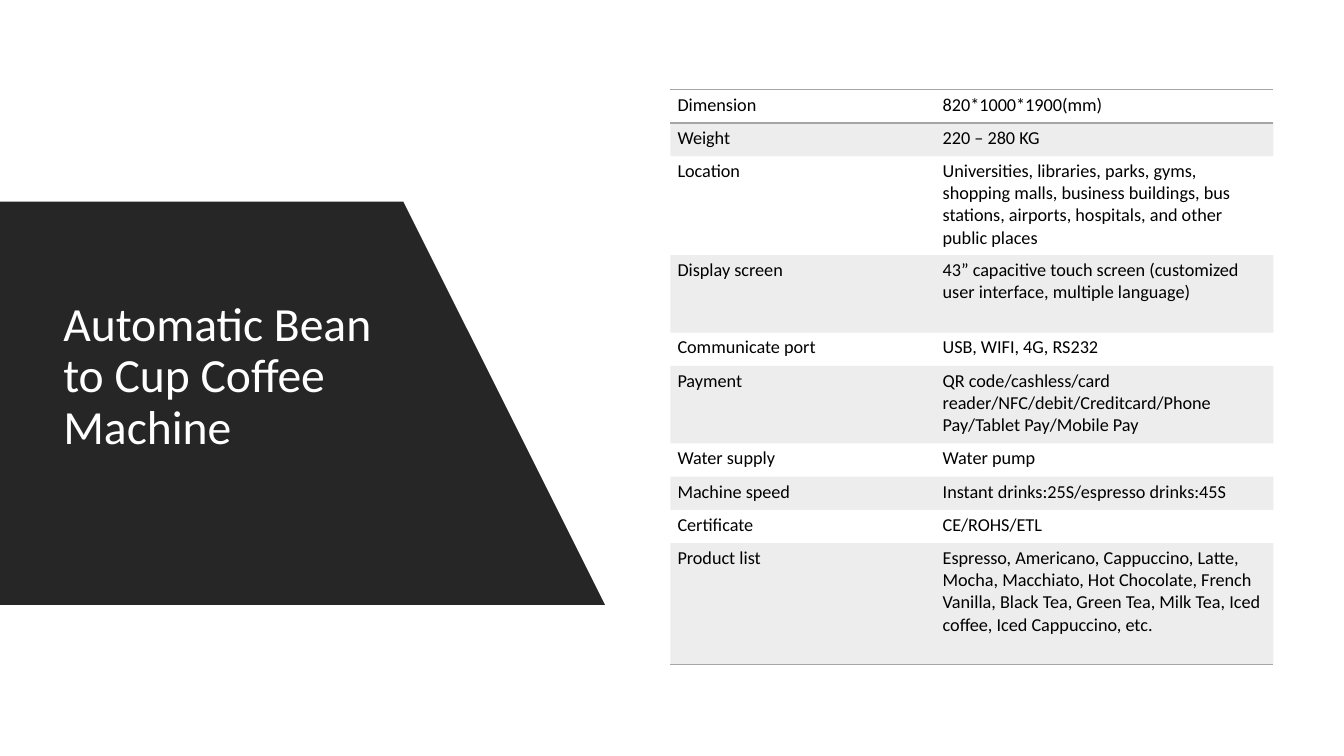
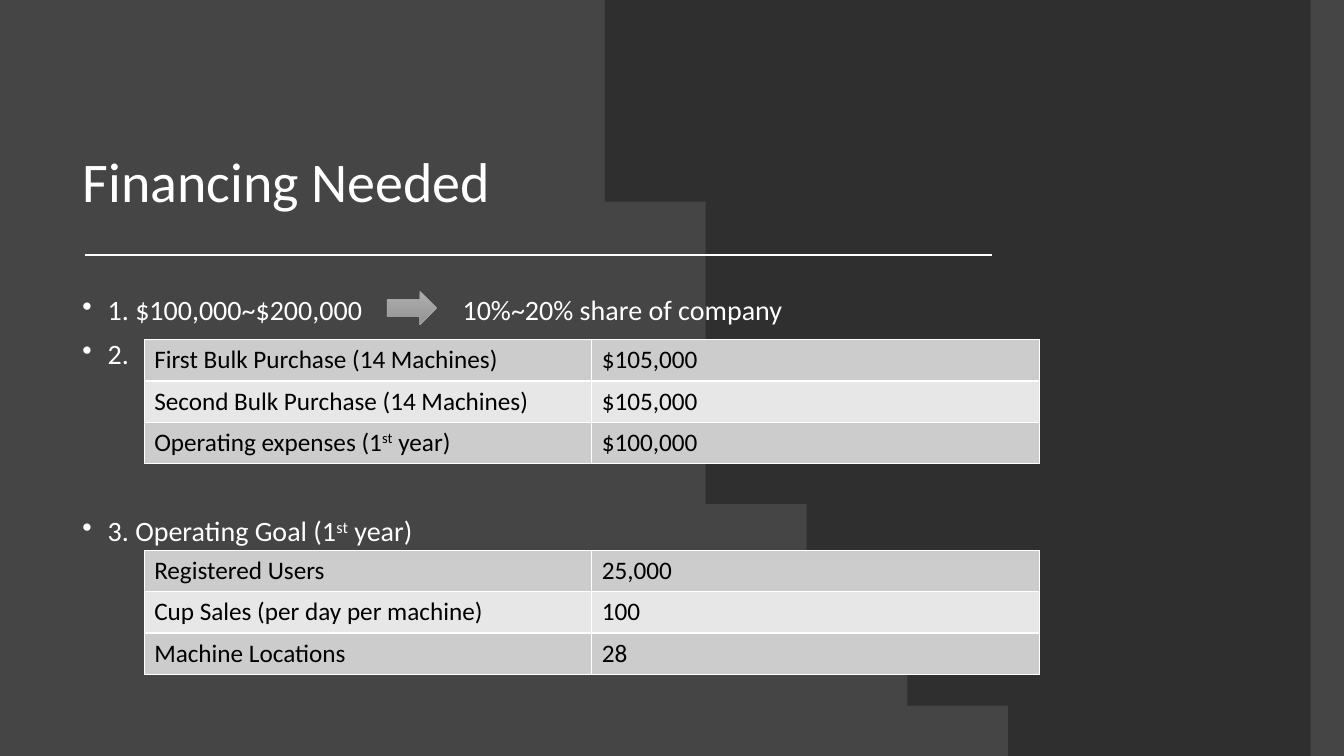
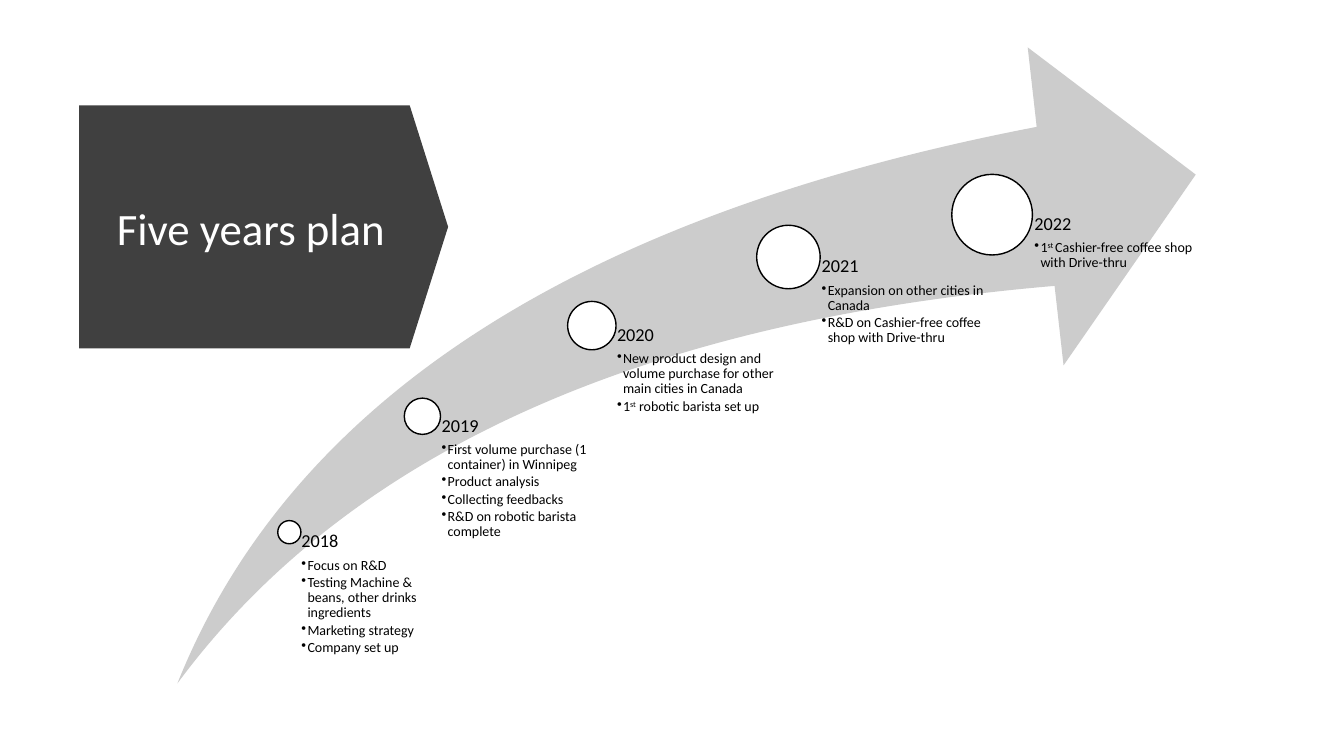
from lxml.etree import SubElement
from pptx import Presentation
from pptx.dml.color import RGBColor
from pptx.enum.shapes import MSO_CONNECTOR as Conn, MSO_SHAPE as Kind
from pptx.enum.text import MSO_ANCHOR as Anchor
from pptx.oxml import parse_xml
from pptx.oxml.ns import nsdecls, qn
from pptx.util import Inches, Pt

FONT = "Calibri"
HEX = {
    "white": "FFFFFF", "black": "000000", "ink": "262626", "slate": "454545",
    "tag": "404040", "grey": "A5A5A5", "odd": "CCCCCC", "even": "E7E7E7",
    "light": "AFAFAF", "deep": "939393",
}

SPECS = [
    ("Dimension", "820*1000*1900(mm)", 0.33),
    ("Weight", "220 – 280 KG", 0.33),
    ("Location", "Universities, libraries, parks, gyms, shopping malls, business "
     "buildings, bus stations, airports, hospitals, and other public places", 0.98),
    ("Display screen", "43” capacitive touch screen (customized user interface, "
     "multiple language)", 0.77),
    ("Communicate port", "USB, WIFI, 4G, RS232", 0.33),
    ("Payment", "QR code/cashless/card reader/NFC/debit/Creditcard/Phone "
     "Pay/Tablet Pay/Mobile Pay", 0.77),
    ("Water supply", "Water pump", 0.33),
    ("Machine speed", "Instant drinks:25S/espresso drinks:45S", 0.33),
    ("Certificate", "CE/ROHS/ETL", 0.33),
    ("Product list", "Espresso, Americano, Cappuccino, Latte, Mocha, Macchiato, "
     "Hot Chocolate, French Vanilla, Black Tea, Green Tea, Milk Tea, Iced coffee, "
     "Iced Cappuccino, etc.", 1.2),
]
COSTS = [
    ("First Bulk Purchase (14 Machines)", "$105,000"),
    ("Second Bulk Purchase (14 Machines)", "$105,000"),
    ("Operating expenses (1^st^ year)", "$100,000"),
]
GOALS = [
    ("Registered Users", "25,000"),
    ("Cup Sales (per day per machine)", "100"),
    ("Machine Locations", "28"),
]
YEARS = [
    (2.87, 5.28, 0.23, 1.32, "2018",
     ["Focus on R&D", "Testing Machine & beans, other drinks ingredients",
      "Marketing strategy", "Company set up"]),
    (4.19, 4.13, 0.36, 1.68, "2019",
     ["First volume purchase (1 container) in Winnipeg", "Product analysis",
      "Collecting feedbacks", "R&D on robotic barista complete"]),
    (5.87, 3.23, 0.48, 1.95, "2020",
     ["New product design and volume purchase for other main cities in Canada",
      "1^st^ robotic barista set up"]),
    (7.82, 2.55, 0.63, 2.02, "2021",
     ["Expansion on other cities in Canada",
      "R&D on Cashier-free coffee shop with Drive-thru"]),
    (9.84, 2.13, 0.8, 2.02, "2022",
     ["1^st ^Cashier-free coffee shop with Drive-thru"]),
]


def tint(name):
    """Return the named colour."""
    return RGBColor.from_string(HEX[name])


def paint(fill, name):
    """Fill with a named colour, or with nothing."""
    if name:
        fill.solid()
        fill.fore_color.rgb = tint(name)
    else:
        fill.background()


def fade(elm, part):
    """Make the colours inside an element part opaque, in percent."""
    for clr in list(elm.iter(qn("a:srgbClr"))):
        SubElement(clr, qn("a:alpha")).set("val", str(part * 1000))


def write(para, text, size, name):
    """Write text with its ^raised^ parts as superscript."""
    for i, part in enumerate(text.split("^")):
        if part:
            run = para.add_run()
            run.text = part
            run.font.name, run.font.size = FONT, Pt(size)
            run.font.color.rgb = tint(name)
            if i % 2:
                run.font._element.set("baseline", "30000")


def bullet(para, indent):
    """Give a paragraph a hanging bullet."""
    props = para._p.get_or_add_pPr()
    props.set("marL", str(Inches(indent)))
    props.set("indent", str(-Inches(indent)))
    SubElement(props, qn("a:buChar")).set("char", "•")


def frame(slide, box, anchor=Anchor.TOP):
    """Add a wrapping text box and return its text frame."""
    text = slide.shapes.add_textbox(*map(Inches, box)).text_frame
    text.word_wrap = True
    text.vertical_anchor = anchor
    return text


def line(text, words, size, name, first=False, indent=0, before=0, after=0):
    """Add one paragraph to a text frame."""
    para = text.paragraphs[0] if first else text.add_paragraph()
    if indent:
        bullet(para, indent)
    para.line_spacing = 0.9
    para.space_before, para.space_after = Pt(before), Pt(after)
    write(para, words, size, name)


def title(slide, box, words, size, anchor=Anchor.MIDDLE):
    """Add a white slide title."""
    line(frame(slide, box, anchor), words, size, "white", first=True)


def shape(slide, kind, box, fill, edge=None, adj=()):
    """Add a plain preset shape."""
    item = slide.shapes.add_shape(kind, *map(Inches, box))
    item.shadow.inherit = False
    for i, val in enumerate(adj):
        item.adjustments[i] = val
    paint(item.fill, fill)
    paint(item.line.fill, edge)
    if edge:
        item.line.width = Pt(1)
    return item


def outline(slide, dots, fill):
    """Add a closed freeform through points in inches."""
    pen = slide.shapes.build_freeform(*dots[0], scale=Inches(1))
    pen.add_line_segments(dots[1:], close=True)
    item = pen.convert_to_shape()
    item.shadow.inherit = False
    paint(item.fill, fill)
    item.line.fill.background()
    return item


def curve(a, b, c, d, steps=24):
    """Return the points of a cubic curve after its start."""
    marks = [i / steps for i in range(1, steps + 1)]
    return [tuple((1 - t) ** 3 * p + 3 * t * (1 - t) ** 2 * q
                  + 3 * t * t * (1 - t) * r + t ** 3 * s
                  for p, q, r, s in zip(a, b, c, d)) for t in marks]


def border(cell, names):
    """Set the left, right, top and bottom borders of a cell."""
    props = cell._tc.get_or_add_tcPr()
    for i, (side, name) in enumerate(zip("LRTB", names)):
        ink = (f'<a:solidFill><a:srgbClr val="{HEX[name]}"/></a:solidFill>'
               if name else "<a:noFill/>")
        props.insert(i, parse_xml(
            f'<a:ln{side} {nsdecls("a")} w="12700">{ink}</a:ln{side}>'))


def grid(slide, spot, cols, highs, rows, size, fills, edges, pad=(0.1, 0.05), part=100):
    """Add a table with alternating fills and borders chosen by row."""
    box = (*spot, sum(cols), sum(highs))
    table = slide.shapes.add_table(len(rows), len(cols), *map(Inches, box)).table
    table.first_row = table.horz_banding = False
    for col, wide in zip(table.columns, cols):
        col.width = Inches(wide)
    for r, (row, high) in enumerate(zip(rows, highs)):
        table.rows[r].height = Inches(high)
        for c, words in enumerate(row):
            cell = table.cell(r, c)
            cell.margin_left = cell.margin_right = Inches(pad[0])
            cell.margin_top = cell.margin_bottom = Inches(pad[1])
            paint(cell.fill, fills[r % 2])
            if part < 100:
                fade(cell._tc, part)
            border(cell, edges(r))
            write(cell.text_frame.paragraphs[0], words, size, "black")


def start(deck, back):
    """Add a blank slide with a background colour."""
    slide = deck.slides.add_slide(deck.slide_layouts[6])
    paint(slide.background.fill, back)
    return slide


def machine(deck):
    """Build the machine data slide."""
    slide = start(deck, "white")
    outline(slide, [(0, 1.6), (3.95, 1.6), (5.95, 5.9), (0, 5.9)], "ink")
    title(slide, (0.53, 2.13, 3.57, 3.23), "Automatic Bean to Cup Coffee Machine", 34)
    last = len(SPECS) - 1

    def rule(r):
        """Rule off the first row and the foot."""
        return (None, None, "grey" if r < 2 else None,
                "grey" if r in (0, last) else None)

    grid(slide, (6.65, 0.89), (2.63, 3.35), [row[2] for row in SPECS],
         [row[:2] for row in SPECS], 13, (None, "grey"), rule, (0.07, 0.04), 20)


def money(deck):
    """Build the financing slide."""
    slide = start(deck, "slate")
    low, mid, top = (9.95, 7.42), (6.47, 0.88), (6.51, 0.07)
    dots = [(6.52, 0), (13.33, 0), (13.33, 7.5), (10.07, 7.5), low]
    dots += curve(low, (7.85, 6), (6.47, 3.6), mid)
    dots += curve(mid, (6.47, 0.61), (6.48, 0.34), top, 4)
    fade(outline(slide, dots, "ink").element, 70)
    title(slide, (0.72, 0.4, 9.86, 1.78), "Financing Needed", 40, Anchor.BOTTOM)
    rule = slide.shapes.add_connector(
        Conn.STRAIGHT, *map(Inches, (0.84, 2.53, 9.84, 2.53)))
    rule.line.color.rgb, rule.line.width = tint("white"), Pt(1.5)
    SubElement(rule.element.spPr, qn("a:effectLst"))
    body = frame(slide, (0.72, 2.89, 9.86, 3.64))
    line(body, "1. $100,000~$200,000", 20, "white", first=True, indent=0.25)
    line(body, "2.", 20, "white", indent=0.25, before=10)
    line(body, "3. Operating Goal (1^st^ year)", 20, "white", indent=0.25, before=105)
    share = frame(slide, (4.49, 2.89, 4, 0.4))
    line(share, "10%~20% share of company", 20, "white", first=True)
    for y, rows in ((3.37, COSTS), (5.46, GOALS)):
        grid(slide, (1.43, y), (4.44, 4.44), [0.41] * 3, rows, 18,
             ("odd", "even"), lambda r: ["white"] * 4)
    arrow = shape(slide, Kind.RIGHT_ARROW, (3.84, 2.89, 0.49, 0.33), "grey", "grey")
    arrow.line.width = Pt(0.5)
    arrow.fill.gradient()
    arrow.fill.gradient_angle = 270
    for stop, name in zip(arrow.fill.gradient_stops, ("light", "deep")):
        stop.color.rgb = tint(name)


def stage(slide, x, y, size, wide, year, notes, foot=6.78):
    """Add a circle centred on x, y with its year and notes down to the foot."""
    shape(slide, Kind.OVAL, (x - size / 2, y - size / 2, size, size), "white", "black")
    text = frame(slide, (x, y, wide, foot - y))
    text.margin_left = Inches(round(size * 0.53, 2))
    text.margin_top = text.margin_right = text.margin_bottom = 0
    line(text, year, 13, "black", first=True, after=4.5)
    for note in notes:
        line(text, note, 10, "black", indent=0.06, after=1.5)


def plan(deck):
    """Build the five year plan slide."""
    slide = start(deck, "white")
    tag = shape(slide, Kind.DOWN_ARROW, (1.41, 0.42, 2.41, 3.66), "tag", adj=(1, 0.158))
    tag.rotation = 270
    title(slide, (1.06, 1.32, 2.92, 1.95), "Five years plan", 32)
    shape(slide, Kind.SWOOSH_ARROW, (1.76, 0.47, 10.1, 6.31), "odd", adj=(0.25, 0.25))
    for year in YEARS:
        stage(slide, *year)


def main():
    """Build and save the deck."""
    deck = Presentation()
    deck.slide_width, deck.slide_height = Inches(13.33), Inches(7.5)
    for build in (machine, money, plan):
        build(deck)
    deck.save("out.pptx")


if __name__ == "__main__":
    main()
